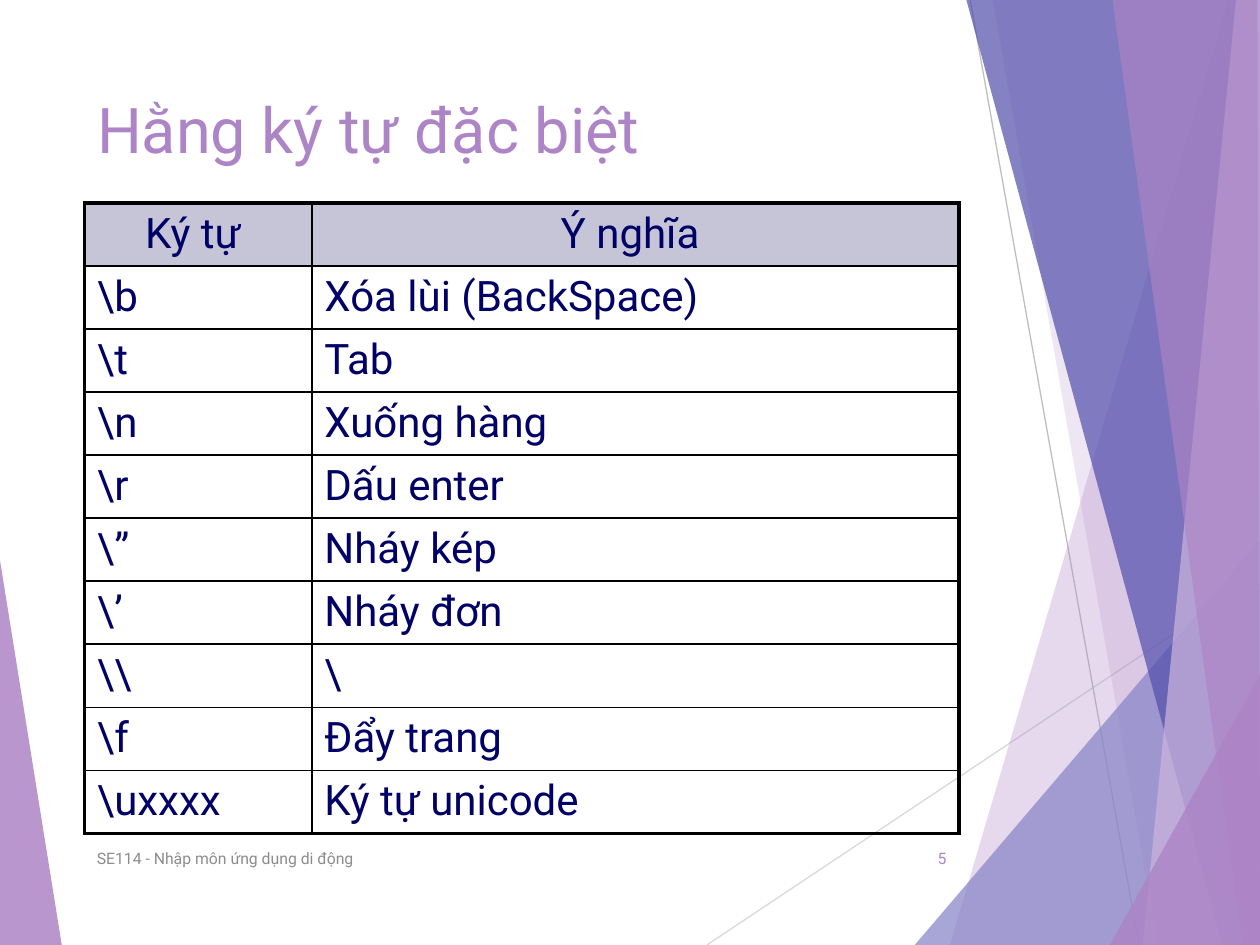
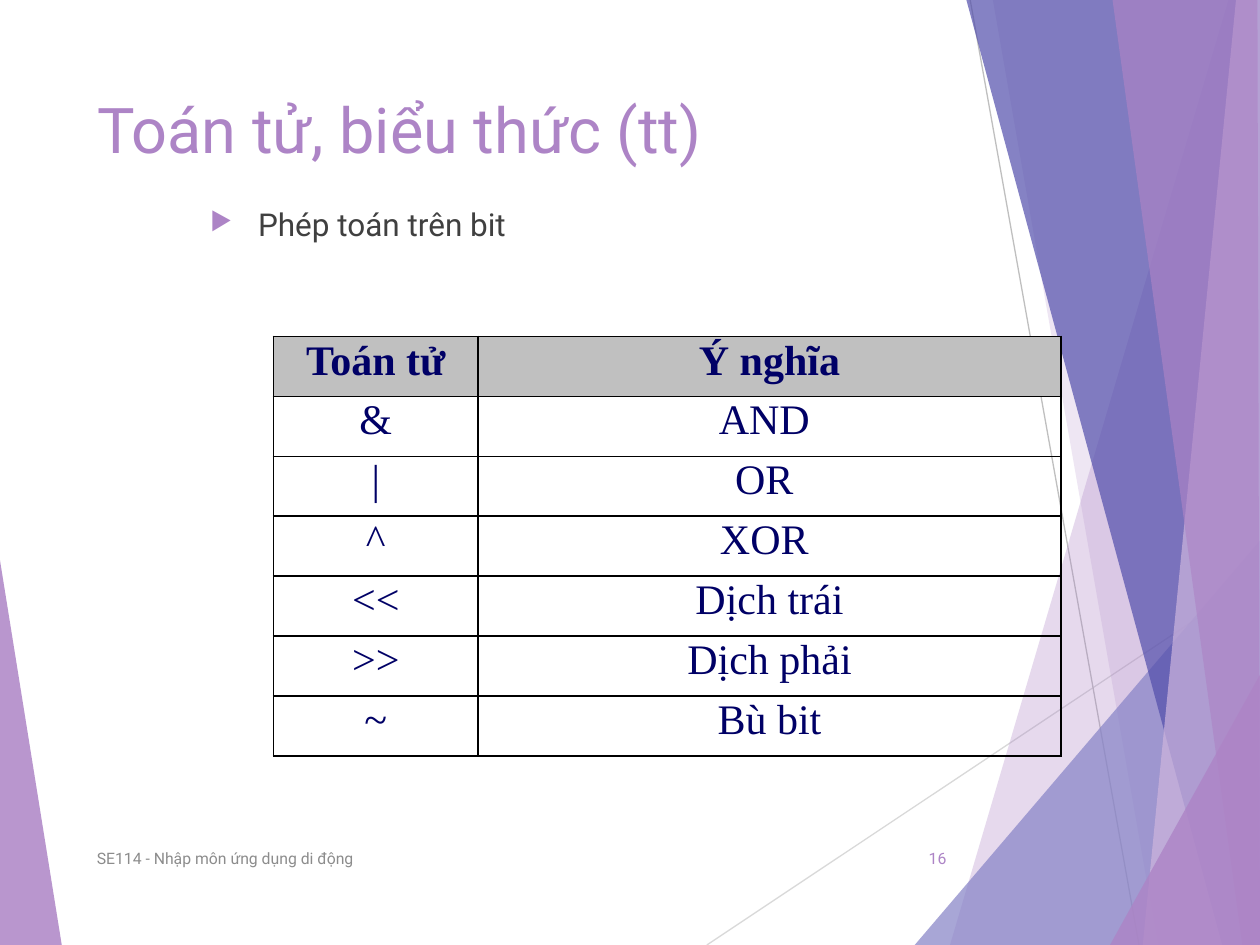
from lxml import etree
from pptx import Presentation
from pptx import util as u
from pptx.dml import color
from pptx.enum import shapes, text
from pptx.oxml import ns

WIDTH, HEIGHT = u.Inches(10), u.Inches(7.5)
LILAC, VIOLET, NAVY, BLACK = "AD84C6", "8784C7", "000066", "000000"
SANS, SERIF = "Roboto", "Times New Roman"
LEFT, CENTER, RIGHT = text.PP_ALIGN.LEFT, text.PP_ALIGN.CENTER, text.PP_ALIGN.RIGHT
MARGIN, CONTENT_WIDTH = 6.7, 69.4
FOOTER_TOP, FOOTER_HEIGHT = 88.13, 5.33
COURSE = "SE114 - Nhập môn ứng dụng di động"

LEFT_FACET = (LILAC, 85, [(0, 59.3), (4.9, 100), (0, 100)])
RAYS = [("D9D9D9", (56.1, 100), (100, 61)), ("BFBFBF", (77, 0), (90.4, 100))]
RIGHT_FACETS = [
    (LILAC, 30, [(97.5, 0), (75.4, 100), (100, 100), (100, 0)]),
    (LILAC, 20, [(78.8, 0), (91.9, 100), (100, 100), (100, 0)]),
    (VIOLET, 72, [(72.6, 100), (100, 57.2), (100, 100)]),
    ("524EAB", 70, [(76.7, 0), (97, 100), (100, 100), (100, 0)]),
    ("CEB5DD", 70, [(98.1, 0), (90.7, 100), (100, 100), (100, 0)]),
    (LILAC, 65, [(88.3, 0), (98.6, 100), (100, 100), (99.8, 0)]),
    (LILAC, 80, [(88.1, 100), (100, 71.4), (100, 100)]),
]

ESCAPES = [
    ("Ký tự ", "Ý nghĩa "),
    ("\\b", "Xóa lùi (BackSpace)"),
    ("\\t", "Tab"),
    ("\\n", "Xuống hàng"),
    ("\\r", "Dấu enter"),
    ("\\”", "Nháy kép"),
    ("\\’", "Nháy đơn"),
    ("\\\\", "\\"),
    ("\\f", "Đẩy trang"),
    ("\\uxxxx", "Ký tự unicode"),
]
BIT_OPERATORS = [
    ("Toán tử", "Ý nghĩa"),
    ("&", "AND "),
    ("|", "OR "),
    ("^", "XOR "),
    ("<<", "Dịch trái"),
    (">>", "Dịch phải"),
    ("~", "Bù bit"),
]


def across(percent):
    """Turn a percentage of the slide's width into a length."""
    return u.Emu(round(WIDTH * percent / 100))


def down(percent):
    """Turn a percentage of the slide's height into a length."""
    return u.Emu(round(HEIGHT * percent / 100))


def place(left, top, width, height):
    """Turn a box in percentages into lengths."""
    return across(left), down(top), across(width), down(height)


def rgb(code):
    """Turn a hex string into a colour."""
    return color.RGBColor.from_string(code)


def child(parent, tag, **attributes):
    """Add a DrawingML element under a parent."""
    return etree.SubElement(parent, ns.qn("a:" + tag), attributes)


def write(frame, words, size, ink, font=SANS, align=LEFT, bold=False):
    """Write one run in the first paragraph of a text frame."""
    paragraph = frame.paragraphs[0]
    paragraph.alignment = align
    run = paragraph.add_run()
    run.text = words
    run.font.size, run.font.name, run.font.bold = u.Pt(size), font, bold
    run.font.color.rgb = rgb(ink)
    return paragraph


def add_facet(slide, tint, opacity, corners):
    """Draw one translucent polygon of the background."""
    points = [(across(x), down(y)) for x, y in corners]
    builder = slide.shapes.build_freeform(*points[0], scale=1.0)
    builder.add_line_segments(points[1:], close=True)
    facet = builder.convert_to_shape()
    facet.shadow.inherit = False
    facet.fill.solid()
    facet.fill.fore_color.rgb = rgb(tint)
    tint_xml = next(facet.element.spPr.iter(ns.qn("a:srgbClr")))
    child(tint_xml, "alpha", val=str(opacity * 1000))
    facet.line.fill.background()


def add_ray(slide, tint, start, end):
    """Draw one thin line of the background."""
    ray = slide.shapes.add_connector(
        shapes.MSO_CONNECTOR.STRAIGHT,
        across(start[0]), down(start[1]), across(end[0]), down(end[1]))
    ray.line.color.rgb = rgb(tint)
    ray.line.width = u.Pt(0.75)
    child(ray.element.spPr, "effectLst")


def add_label(slide, box, words, size, ink, align=LEFT, anchor=text.MSO_ANCHOR.MIDDLE):
    """Add a wrapped text box and return its paragraph."""
    frame = slide.shapes.add_textbox(*place(*box)).text_frame
    frame.word_wrap = True
    frame.vertical_anchor = anchor
    return write(frame, words, size, ink, align=align)


def add_bullet(slide, box, words):
    """Add a text box with one arrow-bulleted line."""
    paragraph = add_label(slide, box, words, 18, "404040", anchor=text.MSO_ANCHOR.TOP)
    paragraph.space_before = u.Pt(10)
    properties = paragraph._p.get_or_add_pPr()
    indent = u.Inches(0.38)
    properties.set("marL", str(indent))
    properties.set("indent", str(-indent))
    child(child(properties, "buClr"), "srgbClr", val=LILAC)
    child(properties, "buSzPct", val="80000")
    child(properties, "buChar", char="▶")


def set_borders(cell, widths):
    """Rule the left, right, top and bottom edges of a cell."""
    properties = cell._tc.get_or_add_tcPr()
    for side, points in zip("LRTB", widths):
        edge = child(properties, "ln" + side, w=str(u.Pt(points)))
        child(child(edge, "solidFill"), "srgbClr", val=BLACK)


def add_glossary(slide, box, first_share, rows, header_fill, font=SANS,
                 frame_width=1, inset=None, body_align=LEFT, bold_header=False):
    """Add a two-column table of symbols and their meanings."""
    table = slide.shapes.add_table(len(rows), 2, *place(*box)).table
    table.first_row = table.horz_banding = False
    table.columns[0].width = across(box[2] * first_share)
    table.columns[1].width = across(box[2] * (1 - first_share))
    last = len(rows) - 1
    for row, entry in enumerate(rows):
        for column, words in enumerate(entry):
            cell = table.cell(row, column)
            outer = (column == 0, column == 1, row == 0, row == last)
            set_borders(cell, [frame_width if edge else 1 for edge in outer])
            if row == 0:
                cell.fill.solid()
                cell.fill.fore_color.rgb = rgb(header_fill)
            else:
                cell.fill.background()
            if inset is not None:
                cell.margin_left = cell.margin_right = u.Inches(inset)
                cell.margin_top = cell.margin_bottom = u.Inches(inset)
            write(cell.text_frame, words, 24, NAVY, font,
                  CENTER if row == 0 else body_align, bold_header and row == 0)


def add_page(deck, heading, number):
    """Add a slide with the background, title and footer."""
    slide = deck.slides.add_slide(deck.slide_layouts[5])
    add_facet(slide, *LEFT_FACET)
    for ray in RAYS:
        add_ray(slide, *ray)
    for facet in RIGHT_FACETS:
        add_facet(slide, *facet)
    title = slide.shapes.title
    title.left, title.top, title.width, title.height = place(MARGIN, 8.93, CONTENT_WIDTH, 19.2)
    title.text_frame.vertical_anchor = text.MSO_ANCHOR.TOP
    write(title.text_frame, heading, 36, LILAC)
    add_label(slide, (MARGIN, FOOTER_TOP, 50.6, FOOTER_HEIGHT), COURSE, 9, "8C8C8C")
    add_label(slide, (70.5, FOOTER_TOP, 5.6, FOOTER_HEIGHT), str(number), 9, LILAC, RIGHT)
    return slide


def main():
    """Build and save both slides."""
    deck = Presentation()
    deck.slide_width, deck.slide_height = WIDTH, HEIGHT

    escapes = add_page(deck, "Hằng ký tự đặc biệt", 5)
    add_glossary(escapes, (MARGIN, 21.47, CONTENT_WIDTH, 65.6), 0.26, ESCAPES,
                 "C5C5D7", frame_width=2.25)

    operators = add_page(deck, "Toán tử, biểu thức (tt)", 16)
    add_bullet(operators, (15.7, 21.07, 82, 13.33), "Phép toán trên bit")
    add_glossary(operators, (21.7, 35.6, 62.5, 44.4), 0.26, BIT_OPERATORS,
                 "C0C0C0", SERIF, inset=0.01, body_align=CENTER, bold_header=True)

    deck.save("out.pptx")


if __name__ == "__main__":
    main()
